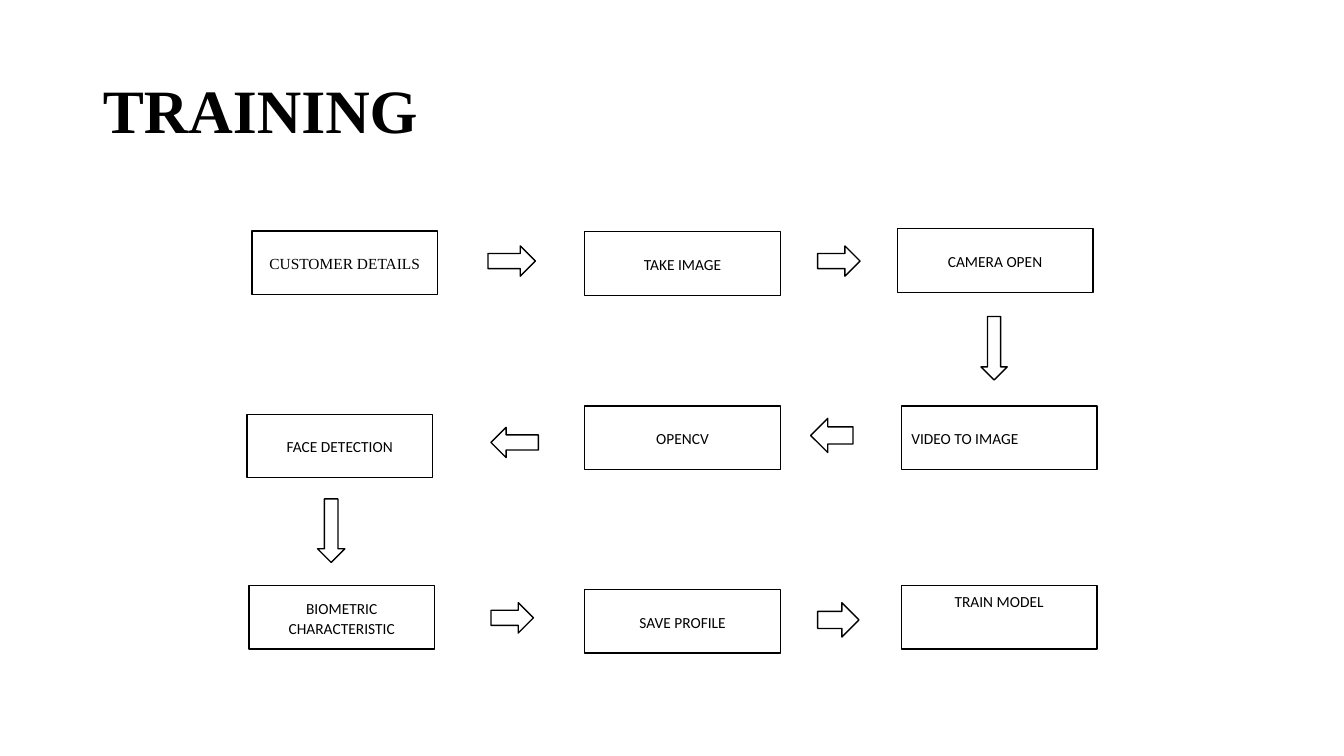
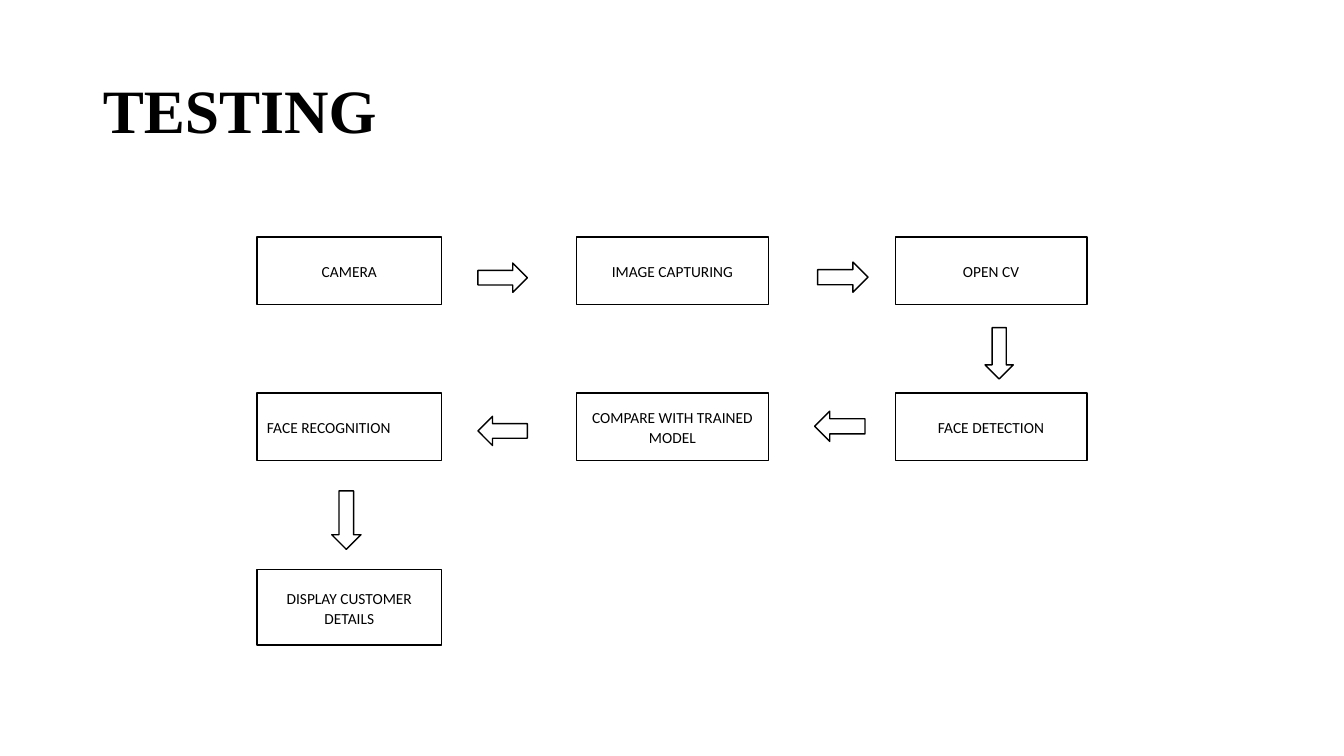
from pptx import Presentation
from pptx.dml.color import RGBColor
from pptx.enum import shapes, text
from pptx.util import Inches, Pt

SHAPE = shapes.MSO_SHAPE
ALIGN = text.PP_ALIGN
ANCHOR = text.MSO_ANCHOR
RIGHT, LEFT, DOWN = SHAPE.RIGHT_ARROW, SHAPE.LEFT_ARROW, SHAPE.DOWN_ARROW


def colour(value):
    return RGBColor.from_string(value)


class FlowDeck:
    """Holds the shared style and the current slide."""
    ink = "000000"
    paper = "FFFFFF"
    serif = "Times New Roman"
    sans = "Calibri"

    def __init__(self):
        self.deck = Presentation()
        self.deck.slide_width = Inches(13.33)
        self.deck.slide_height = Inches(7.5)
        self.page = None

    def set_text(self, frame, wording, font, size, align, spacing, bold=False):
        frame.text = wording
        frame.word_wrap = True
        para = frame.paragraphs[0]
        para.alignment = align
        para.line_spacing = spacing
        for span in para.runs:
            span.font.name = font
            span.font.size = Pt(size)
            span.font.bold = bold
            span.font.color.rgb = colour(self.ink)

    def add_page(self, title):
        title_only = self.deck.slide_layouts[5]
        self.page = self.deck.slides.add_slide(title_only)
        self.page.background.fill.solid()
        self.page.background.fill.fore_color.rgb = colour(self.paper)
        holder = self.page.shapes.title
        holder.left, holder.top = Inches(0.92), Inches(0.4)
        holder.width, holder.height = Inches(11.5), Inches(1.45)
        self.set_text(holder.text_frame, title, self.serif, 44, ALIGN.LEFT, 0.9, bold=True)
        holder.text_frame.vertical_anchor = ANCHOR.MIDDLE

    def outline(self, kind, left, top, width, height):
        shape = self.page.shapes.add_shape(
            kind, Inches(left), Inches(top), Inches(width), Inches(height))
        shape.shadow.inherit = False
        shape.fill.solid()
        shape.fill.fore_color.rgb = colour(self.paper)
        shape.line.color.rgb = colour(self.ink)
        shape.line.width = Pt(1)
        return shape

    def step(self, wording, left, top, width, height,
             font=sans, align=ALIGN.CENTER, anchor=ANCHOR.MIDDLE):
        box = self.outline(SHAPE.RECTANGLE, left, top, width, height)
        self.set_text(box.text_frame, wording, font, 11, align, 1.07)
        box.text_frame.vertical_anchor = anchor

    def arrow(self, kind, left, top, width, height):
        self.outline(kind, left, top, width, height)


flow = FlowDeck()

# Training: three rows of three steps, read in a winding path
flow.add_page("TRAINING")
narrow, wide, tall = 1.84, 1.94, 0.63
flow.step("CUSTOMER DETAILS", 2.5, 2.29, narrow, tall, font=flow.serif)
flow.step("VIDEO TO IMAGE", 8.94, 4.03, wide, tall, align=ALIGN.LEFT)
flow.step("TRAIN MODEL", 8.94, 5.81, wide, tall, anchor=ANCHOR.TOP)
for wording, left, top, width in [
    ("TAKE IMAGE", 5.8, 2.3, wide),
    ("CAMERA OPEN", 8.9, 2.27, wide),
    ("OPENCV", 5.8, 4.03, wide),
    ("FACE DETECTION", 2.45, 4.11, narrow),
    ("BIOMETRIC CHARACTERISTIC", 2.47, 5.81, narrow),
    ("SAVE PROFILE", 5.8, 5.85, wide),
]:
    flow.step(wording, left, top, width, tall)
for arrow in [
    (RIGHT, 4.84, 2.44, 0.47, 0.3),
    (RIGHT, 8.11, 2.44, 0.42, 0.3),
    (DOWN, 9.73, 3.14, 0.26, 0.63),
    (LEFT, 8.04, 4.15, 0.42, 0.34),
    (LEFT, 4.87, 4.24, 0.47, 0.3),
    (DOWN, 3.15, 4.95, 0.27, 0.63),
    (RIGHT, 4.87, 5.98, 0.42, 0.3),
    (RIGHT, 8.11, 5.98, 0.41, 0.34),
]:
    flow.arrow(*arrow)

# Testing: two rows of three steps and a final one
flow.add_page("TESTING")
narrow, wide, tall = 1.83, 1.9, 0.67
columns = [(2.55, narrow), (5.72, wide), (8.88, wide)]
rows = [
    (2.35, ["CAMERA", "IMAGE CAPTURING", "OPEN CV"]),
    (3.9, ["FACE RECOGNITION", "COMPARE WITH TRAINED MODEL", "FACE DETECTION"]),
]
for top, names in rows:
    for (left, width), wording in zip(columns, names):
        align = ALIGN.LEFT if wording == "FACE RECOGNITION" else ALIGN.CENTER
        flow.step(wording, left, top, width, tall, align=align)
flow.step("DISPLAY CUSTOMER DETAILS", 2.55, 5.65, narrow, 0.75)
for arrow in [
    (RIGHT, 4.74, 2.61, 0.49, 0.29),
    (RIGHT, 8.11, 2.6, 0.5, 0.3),
    (DOWN, 9.77, 3.25, 0.28, 0.51),
    (LEFT, 8.08, 4.08, 0.5, 0.3),
    (LEFT, 4.74, 4.13, 0.49, 0.29),
    (DOWN, 3.29, 4.87, 0.29, 0.58),
]:
    flow.arrow(*arrow)

flow.deck.save("out.pptx")
